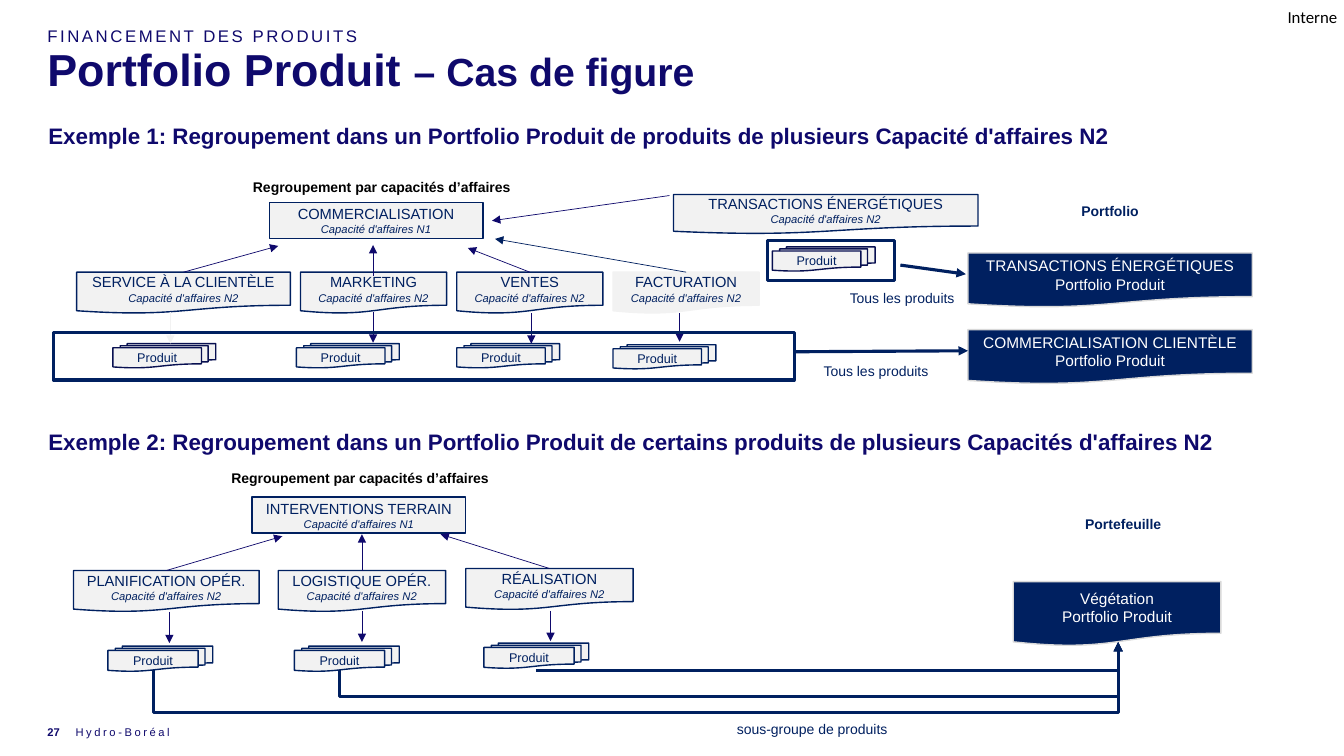
import pptx
import pptx.dml.color
import pptx.enum.shapes
import pptx.enum.text
import pptx.oxml
import pptx.oxml.ns
import pptx.util

PX = 9144  # 100 px to the inch
COLORS = {"indigo": "0F096C", "navy": "002060", "ink": "081051", "black": "000000",
          "white": "FFFFFF", "pale": "F2F2F2", "edge": "D9D9D9"}
SHAPE = pptx.enum.shapes.MSO_SHAPE
LINE = pptx.enum.shapes.MSO_CONNECTOR
ALIGN = pptx.enum.text.PP_ALIGN
ANCHOR = pptx.enum.text.MSO_ANCHOR
TOP = 0


def rgb(name):
    return pptx.dml.color.RGBColor.from_string(COLORS[name])


def emu(*lengths):
    return [round(length * PX) for length in lengths]


def add_xml(parent, tag, **attributes):
    child = pptx.oxml.parse_xml(f"<a:{tag} {pptx.oxml.ns.nsdecls('a')}/>")
    for key, value in attributes.items():
        child.set(key, str(value))
    parent.append(child)


class Board:
    """Holds the current slide and the style of its diagram parts."""

    font = "Arial"

    def __init__(self, slide):
        self.slide = slide

    def style(self, paragraph, size, color, bold=False, italic=False, spacing=0, font=None):
        for run in paragraph.runs:
            run.font.name = font or self.font
            run.font.size = pptx.util.Pt(size)
            run.font.bold = bold
            run.font.italic = italic
            run.font.color.rgb = rgb(color)
            if spacing:
                run.font._element.set("spc", str(spacing))

    def text(self, box, words, size, color, flush=False, wrap=True, align=ALIGN.LEFT,
             anchor=ANCHOR.TOP, **look):
        """Adds a text box; flush removes its insets."""
        frame = self.slide.shapes.add_textbox(*emu(*box)).text_frame
        frame.word_wrap = wrap
        frame.vertical_anchor = anchor
        if flush:
            frame.margin_left = frame.margin_right = frame.margin_top = frame.margin_bottom = 0
        frame.text = words
        paragraph = frame.paragraphs[0]
        paragraph.alignment = align
        self.style(paragraph, size, color, **look)
        return paragraph

    def label(self, box, words, color="navy"):
        self.text(box, words, 10, color, align=ALIGN.CENTER, bold=True)

    def box(self, kind, box, lines, fill="pale", edge="navy", width=1):
        """Adds an outlined shape; lines are (words, size, color, italic)."""
        shape = self.slide.shapes.add_shape(kind, *emu(*box))
        shape.shadow.inherit = False
        if fill:
            shape.fill.solid()
            shape.fill.fore_color.rgb = rgb(fill)
        else:
            shape.fill.background()
        shape.line.color.rgb = rgb(edge)
        shape.line.width = pptx.util.Pt(width)
        if lines:
            frame = shape.text_frame
            frame.word_wrap = True
            frame.vertical_anchor = ANCHOR.MIDDLE
            frame.text = "\n".join(line[0] for line in lines)
            for paragraph, (_, size, color, italic) in zip(frame.paragraphs, lines):
                paragraph.alignment = ALIGN.CENTER
                self.style(paragraph, size, color, italic=italic)
        return shape

    def capability(self, box, name, level=2, edge="navy"):
        kind = SHAPE.RECTANGLE if level == 1 else SHAPE.FLOWCHART_DOCUMENT
        return self.box(kind, box, [(name, 10.5, "navy", False),
                                    (f"Capacité d'affaires N{level}", 8, "navy", True)], edge=edge)

    def portfolio(self, box, name):
        self.box(SHAPE.FLOWCHART_DOCUMENT, box,
                 [(name, 11, "white", False), ("Portfolio Produit", 11, "white", False)],
                 fill="navy", edge="edge")

    def products(self, box, edge="navy"):
        self.box(SHAPE.FLOWCHART_MULTIDOCUMENT, box, [("Produit", 9, "navy", False)], edge=edge)

    def frame(self, box):
        self.box(SHAPE.RECTANGLE, box, [], fill=None, width=2.25)

    def arrow(self, start, end, color="indigo", width=0.5, kind=LINE.STRAIGHT, source=None):
        """Draws an arrow to end, joined to the top of source if given."""
        arrow = self.slide.shapes.add_connector(kind, *emu(*start, *end))
        if source is not None:
            arrow.begin_connect(source, TOP)
        arrow.line.color.rgb = rgb(color)
        arrow.line.width = pptx.util.Pt(width)
        add_xml(arrow.line._get_or_add_ln(), "tailEnd", type="triangle")
        add_xml(arrow._element.spPr, "effectLst")
        return arrow

    def elbow(self, start, end, bus):
        """Draws an arrow that runs along the height bus and then rises to end."""
        (x1, y1), (x2, y2) = start, end
        if bus == y1:
            arrow = self.arrow(start, end, "navy", 2.25, LINE.ELBOW)
            arrow._element.spPr.prstGeom.set("prst", "bentConnector2")
            return
        # A quarter turn swaps the width and height around the centre.
        cx, cy, run, rise = (x1 + x2) / 2, (y1 + y2) / 2, x2 - x1, y1 - y2
        arrow = self.arrow((cx + rise / 2, cy + run / 2), (cx - rise / 2, cy - run / 2),
                           "navy", 2.25, LINE.ELBOW)
        properties = arrow._element.spPr
        properties.xfrm.set("rot", "5400000")
        bend = round(-100000 * (bus - y1) / rise)
        add_xml(properties.prstGeom.get_or_add_avLst(), "gd", name="adj1", fmla=f"val {bend}")


def add_headings(board):
    board.text((47, 714, 28, 24), "27", 8, "indigo", flush=True, anchor=ANCHOR.MIDDLE, bold=True)
    board.text((75, 714, 945, 24), "Hydro-Boréal", 8, "indigo", flush=True,
               anchor=ANCHOR.MIDDLE, spacing=180)
    board.text((1277, 7, 53, 20), "Interne", 12, "black", flush=True, wrap=False, font="Calibri")
    board.text((47, 26, 1239, 20), "FINANCEMENT DES PRODUITS", 12, "indigo", flush=True, spacing=180)
    title = board.text((47, 47, 1239, 55), "Portfolio Produit ", 32, "indigo", flush=True, bold=True)
    title.line_spacing = 0.9
    title.add_run().text = "– Cas de figure"
    board.style(title, 32, "indigo", bold=True)
    title.runs[1].font.size = pptx.util.Pt(28)
    for top, width, words in (
            (121, 1084, "Exemple 1: Regroupement dans un Portfolio Produit de produits "
                        "de plusieurs Capacité d'affaires N2"),
            (425, 1164, "Exemple 2: Regroupement dans un Portfolio Produit de certains produits "
                        "de plusieurs Capacités d'affaires N2")):
        board.text((48, top, width, 36), words, 16, "indigo", flush=True, bold=True)


def add_example_1(board):
    board.label((213, 172, 331, 27), "Regroupement par capacités d’affaires", "black")
    board.label((1048, 196, 106, 27), "Portfolio")
    board.capability((267, 201, 212, 36), "COMMERCIALISATION", level=1)
    board.capability((668, 193, 302, 39), "TRANSACTIONS ÉNERGÉTIQUES")
    service = board.capability((76, 270, 212, 41), "SERVICE À LA CLIENTÈLE")
    board.capability((298, 270, 145, 41), "MARKETING")
    sales = board.capability((453, 270, 145, 41), "VENTES")
    billing = board.capability((608, 270, 145, 41), "FACTURATION", edge="pale")
    board.products((112, 341, 102, 24), edge="ink")
    for left, top in ((294, 341), (453, 341), (608, 342)):
        board.products((left, top, 102, 24))
    board.products((766, 245, 102, 24), edge="ink")

    board.arrow((182, 270), (276, 244), source=service)
    board.arrow((370, 274), (370, 243))
    board.arrow((525, 270), (464, 246), source=sales)
    board.arrow((680, 270), (491, 237), "navy", source=billing)
    board.arrow((664, 194), (488, 219))
    for x, top, bottom, color in ((169, 310, 341, "pale"), (370, 310, 340, "indigo"),
                                  (527, 311, 341, "indigo"), (674, 311, 339, "indigo")):
        board.arrow((x, top), (x, bottom), color)

    board.frame((53, 330, 735, 47))
    board.frame((761, 239, 126, 39))
    board.portfolio((960, 251, 282, 54), "TRANSACTIONS ÉNERGÉTIQUES")
    board.portfolio((960, 327, 282, 54), "COMMERCIALISATION CLIENTÈLE")
    board.arrow((893, 263), (958, 272), "navy", 2.25)
    board.arrow((788, 349), (960, 348), "navy", 2.25)
    for left, top in ((833, 282), (807, 355)):
        board.text((left, top, 126, 27), "Tous les produits", 10, "navy", wrap=False)


def add_example_2(board):
    board.label((215, 461, 284, 27), "Regroupement par capacités d’affaires", "black")
    board.label((1061, 507, 106, 27), "Portefeuille")
    board.capability((250, 493, 212, 36), "INTERVENTIONS TERRAIN", level=1)
    for left, top, width, name, tip in ((73, 566, 184, "PLANIFICATION OPÉR.", (280, 532)),
                                        (276, 566, 166, "LOGISTIQUE OPÉR.", (359, 530)),
                                        (462, 564, 166, "RÉALISATION", (437, 530))):
        capability = board.capability((left, top, width, 41), name)
        board.arrow((left + width / 2, top), tip, source=capability)
    for x, top, bottom in ((168, 607, 638), (359, 606, 637), (546, 606, 636)):
        board.arrow((x, top), (x, bottom))
    for left, top in ((107, 641), (292, 641), (480, 638)):
        board.products((left, top, 104, 25))
    board.portfolio((1005, 577, 206, 64), "Végétation")
    for x, bus in ((152, 707), (337, 691), (532, 665)):
        board.elbow((x, 665), (1109, 637), bus)
    board.text((721, 710, 170, 27), "sous-groupe de produits", 10, "navy", wrap=False)


def main():
    deck = pptx.Presentation()
    deck.slide_width, deck.slide_height = emu(1333, 750)
    board = Board(deck.slides.add_slide(deck.slide_layouts[6]))
    add_headings(board)
    add_example_1(board)
    add_example_2(board)
    deck.save("out.pptx")


if __name__ == "__main__":
    main()
